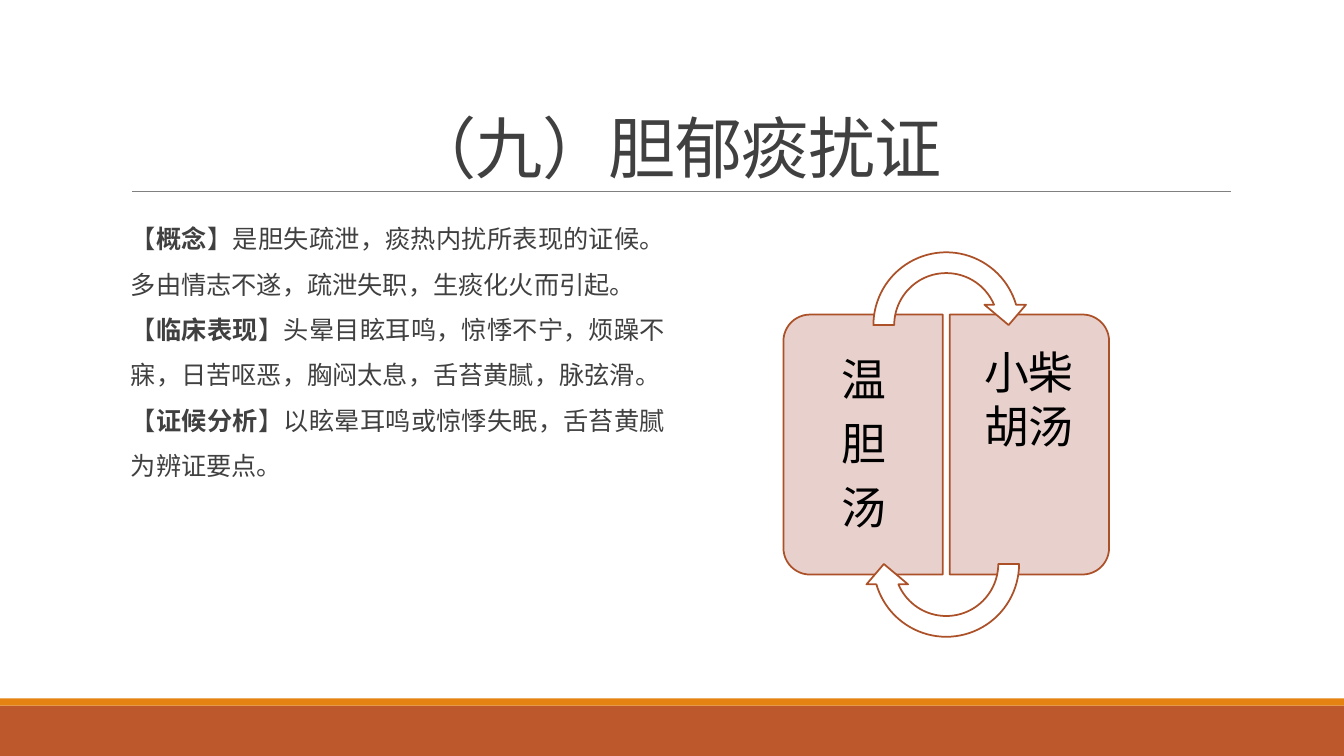
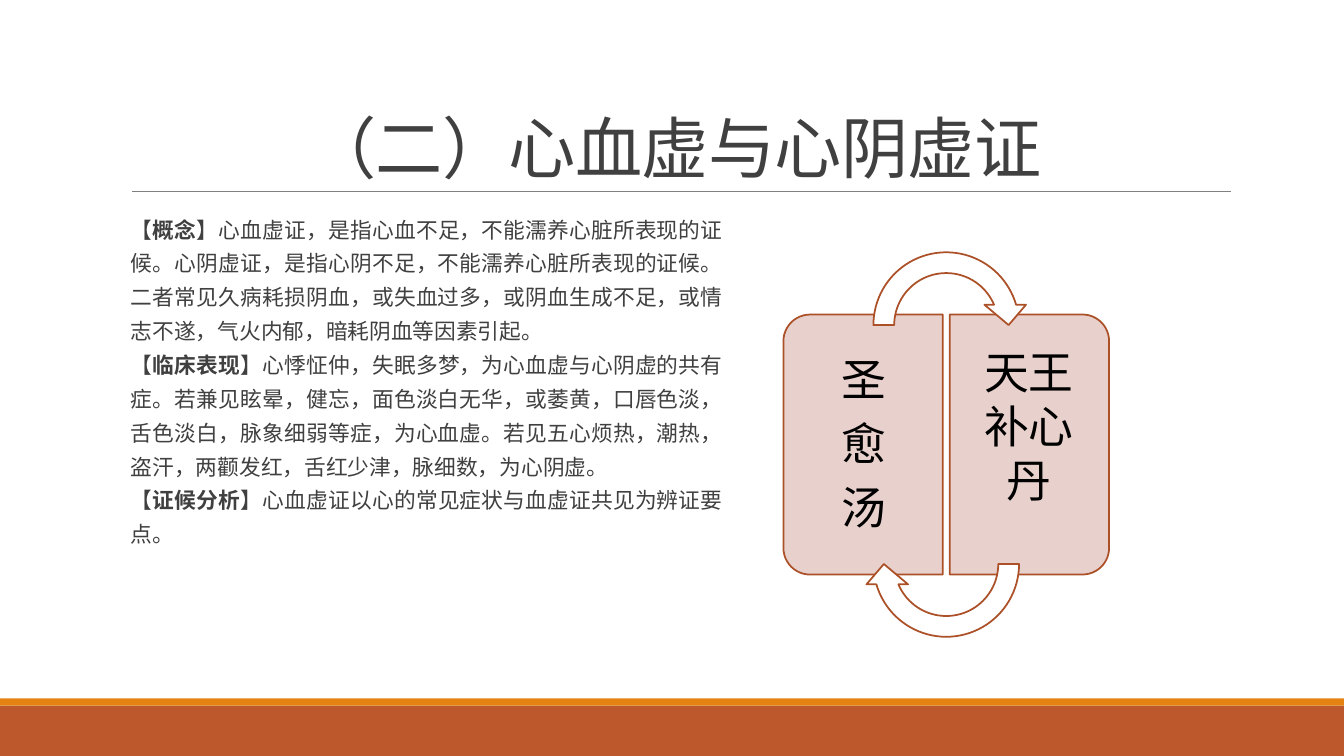
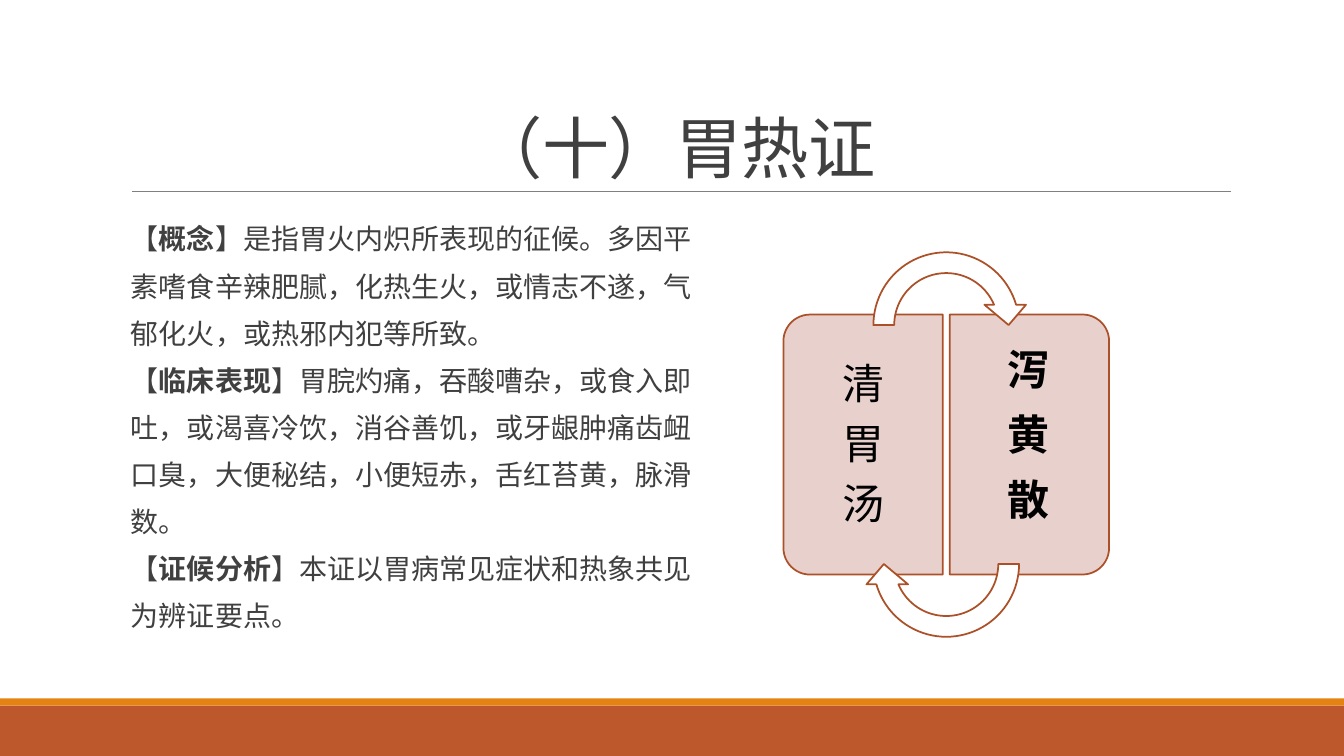
from dataclasses import dataclass

from lxml import etree
from pptx import Presentation
from pptx.dml.color import RGBColor
from pptx.enum import lang, shapes, text
from pptx.oxml import ns
from pptx.util import Inches, Pt

SLIDE_WIDTH, SLIDE_HEIGHT = 13.33, 7.5
RUST, ORANGE, RULE_GRAY = "BD582C", "E48312", "808080"
INK, BLACK, WHITE = "404040", "000000", "FFFFFF"
CARD_FILL, OUTLINE = "E8D1CD", "AC5028"
LATIN_FONT, CHINESE_FONT = "Calibri", "Noto Sans CJK SC"
LINE_HEIGHT = 1.2  # height of a single-spaced line, as a multiple of the text size
ARROW_ADJUSTMENTS = (0.125, 11.423, 204.577, 108, 0.125)
ARROW_LEFT, ARROW_SIZE = 8.56, 1.65


@dataclass(frozen=True)
class Style:
    size: float
    font: str = CHINESE_FONT
    color: str = BLACK
    bold: bool = False
    spacing: float = 1.0
    space_after: float = 0.0
    align: text.PP_ALIGN = text.PP_ALIGN.CENTER
    tracking: float = 0.0


@dataclass(frozen=True)
class Box:
    left: float
    top: float
    width: float
    height: float
    insets: tuple[float, float, float, float] = (0.1, 0.05, 0.1, 0.05)
    anchor: text.MSO_ANCHOR = text.MSO_ANCHOR.TOP


@dataclass(frozen=True)
class Section:
    heading: str
    content: str


@dataclass(frozen=True)
class Syndrome:
    title: str
    body_width: float
    body_style: Style
    sections: tuple[Section, ...]
    left_formula: tuple[str, ...]
    right_formula: tuple[str, ...]
    formula_size: float = 32
    right_font: str = CHINESE_FONT
    right_bold: bool = False
    inset_side: tuple[float, float, float] = (0.13, 0.2, 0.22)  # outer, inner, vertical


def rgb(color: str) -> RGBColor:
    return RGBColor.from_string(color)


def add_run(paragraph, content: str, style: Style, bold: bool) -> None:
    run = paragraph.add_run()
    run.text = content
    font = run.font
    font.size, font.name, font.bold = Pt(style.size), style.font, bold
    font.color.rgb = rgb(style.color)
    font.language_id = lang.MSO_LANGUAGE_ID.SIMPLIFIED_CHINESE
    properties = run._r.get_or_add_rPr()
    etree.SubElement(properties, ns.qn("a:ea")).set("typeface", style.font)
    if style.tracking:
        properties.set("spc", str(round(style.tracking * 100)))


def add_text(slide, box: Box, paragraphs, style: Style) -> None:
    """Add a text box; each paragraph is a list of (text, bold) pairs."""
    shape = slide.shapes.add_textbox(
        Inches(box.left), Inches(box.top), Inches(box.width), Inches(box.height)
    )
    frame = shape.text_frame
    frame.word_wrap = True
    frame.vertical_anchor = box.anchor
    (frame.margin_left, frame.margin_top,
     frame.margin_right, frame.margin_bottom) = map(Inches, box.insets)
    for index, runs in enumerate(paragraphs):
        paragraph = frame.add_paragraph() if index else frame.paragraphs[0]
        paragraph.alignment = style.align
        paragraph.line_spacing = Pt(style.size * LINE_HEIGHT * style.spacing)
        paragraph.space_after = Pt(style.size * style.space_after)
        for content, bold in runs:
            add_run(paragraph, content, style, bold)


def add_shape(slide, kind: shapes.MSO_SHAPE, box: Box, fill: str, line: str = "",
              rotation: float = 0, adjustments: tuple[float, ...] = ()) -> None:
    shape = slide.shapes.add_shape(
        kind, Inches(box.left), Inches(box.top), Inches(box.width), Inches(box.height)
    )
    shape.shadow.inherit = False
    shape.rotation = rotation
    shape.fill.solid()
    shape.fill.fore_color.rgb = rgb(fill)
    if line:
        shape.line.color.rgb = rgb(line)
        shape.line.width = Pt(1.25)
    else:
        shape.line.fill.background()
    for index, value in enumerate(adjustments):
        shape.adjustments[index] = value


def add_frame(slide, title: str) -> None:
    """Draw the footer bands, the title and the rule below it."""
    add_shape(slide, shapes.MSO_SHAPE.RECTANGLE, Box(0, 7, SLIDE_WIDTH, 0.5), RUST)
    add_shape(slide, shapes.MSO_SHAPE.RECTANGLE, Box(0, 6.93, SLIDE_WIDTH, 0.07), ORANGE)
    rule = slide.shapes.add_connector(
        shapes.MSO_CONNECTOR.STRAIGHT, Inches(1.31), Inches(1.9), Inches(12.21), Inches(1.9)
    )
    rule.line.color.rgb = rgb(RULE_GRAY)
    rule.line.width = Pt(0.5)
    etree.SubElement(rule._element.spPr, ns.qn("a:effectLst"))
    add_text(slide, Box(1.2, 0.31, 11, 1.59, anchor=text.MSO_ANCHOR.BOTTOM),
             [[(title, False)]], Style(48, color=INK, spacing=0.85, tracking=-0.5))


def add_formula_cycle(slide, syndrome: Syndrome) -> None:
    """Draw the two formula cards and the arrows that circle between them."""
    outer, inner, vertical = syndrome.inset_side
    left_style = Style(syndrome.formula_size, spacing=0.9, space_after=0.35)
    right_style = Style(syndrome.formula_size, syndrome.right_font,
                        bold=syndrome.right_bold, space_after=0.35)
    left_box = Box(7.85, 3.2, 1.5, 2.43, (outer, vertical, inner, vertical),
                   text.MSO_ANCHOR.MIDDLE)
    right_box = Box(9.42, 3.2, 1.5, 2.43, (inner, vertical, outer, vertical))
    cards = (
        (7.27, 270, left_box, syndrome.left_formula, left_style),
        (8.92, 90, right_box, syndrome.right_formula, right_style),
    )
    for left, rotation, box, formula, style in cards:
        add_shape(slide, shapes.MSO_SHAPE.ROUND_2_SAME_RECTANGLE, Box(left, 3.62, 2.58, 1.58),
                  CARD_FILL, OUTLINE, rotation, (0.167, 0))
        add_text(slide, box, [[(line, style.bold)] for line in formula], style)
    for top, rotation in ((2.4, 0), (4.77, 180)):
        add_shape(slide, shapes.MSO_SHAPE.CIRCULAR_ARROW,
                  Box(ARROW_LEFT, top, ARROW_SIZE, ARROW_SIZE),
                  WHITE, OUTLINE, rotation, ARROW_ADJUSTMENTS)


def add_syndrome(presentation, syndrome: Syndrome) -> None:
    slide = presentation.slides.add_slide(presentation.slide_layouts[6])
    add_frame(slide, syndrome.title)
    paragraphs = [
        [("【", False), (section.heading, True), ("】" + section.content, False)]
        for section in syndrome.sections
    ]
    add_text(slide, Box(1.2, 2.02, syndrome.body_width, 4.4, (0.1, 0.05, 0, 0.05)),
             paragraphs, syndrome.body_style)
    add_formula_cycle(slide, syndrome)


def body_style(size: float, spacing: float,
               align: text.PP_ALIGN = text.PP_ALIGN.JUSTIFY) -> Style:
    return Style(size, LATIN_FONT, INK, spacing=spacing, align=align)


def sections(concept: str, symptoms: str, analysis: str) -> tuple[Section, ...]:
    return (Section("概念", concept), Section("临床表现", symptoms),
            Section("证候分析", analysis))


SYNDROMES = (
    Syndrome(
        "（九）胆郁痰扰证", 5.4, body_style(18, 1.5),
        sections(
            "是胆失疏泄，痰热内扰所表现的证候。多由情志不遂，疏泄失职，生痰化火而引起。",
            "头晕目眩耳鸣，惊悸不宁，烦躁不寐，日苦呕恶，胸闷太息，舌苔黄腻，脉弦滑。",
            "以眩晕耳鸣或惊悸失眠，舌苔黄腻为辨证要点。",
        ),
        ("温", "胆", "汤"), ("小柴胡汤",),
    ),
    Syndrome(
        "（二）心血虚与心阴虚证", 5.97, body_style(15.5, 1.3),
        sections(
            "心血虚证，是指心血不足，不能濡养心脏所表现的证候。心阴虚证，是指心阴不足，"
            "不能濡养心脏所表现的证候。二者常见久病耗损阴血，或失血过多，或阴血生成不足，"
            "或情志不遂，气火内郁，暗耗阴血等因素引起。",
            "心悸怔仲，失眠多梦，为心血虚与心阴虚的共有症。若兼见眩晕，健忘，面色淡白无华，"
            "或萎黄，口唇色淡，舌色淡白，脉象细弱等症，为心血虚。若见五心烦热，潮热，盗汗，"
            "两颧发红，舌红少津，脉细数，为心阴虚。",
            "心血虚证以心的常见症状与血虚证共见为辨证要点。",
        ),
        ("圣", "愈", "汤"), ("天王补心丹",),
    ),
    Syndrome(
        "（十）胃热证", 5.87, body_style(20, 1.4, text.PP_ALIGN.LEFT),
        sections(
            "是指胃火内炽所表现的征候。多因平素嗜食辛辣肥腻，化热生火，或情志不遂，"
            "气郁化火，或热邪内犯等所致。",
            "胃脘灼痛，吞酸嘈杂，或食入即吐，或渴喜冷饮，消谷善饥，或牙龈肿痛齿衄口臭，"
            "大便秘结，小便短赤，舌红苔黄，脉滑数。",
            "本证以胃病常见症状和热象共见为辨证要点。",
        ),
        ("清", "胃", "汤"), ("泻", "黄", "散"),
        formula_size=30, right_font=LATIN_FONT, right_bold=True,
        inset_side=(0.12, 0.19, 0.21),
    ),
)


def main() -> None:
    presentation = Presentation()
    presentation.slide_width = Inches(SLIDE_WIDTH)
    presentation.slide_height = Inches(SLIDE_HEIGHT)
    for syndrome in SYNDROMES:
        add_syndrome(presentation, syndrome)
    presentation.save("out.pptx")


if __name__ == "__main__":
    main()
